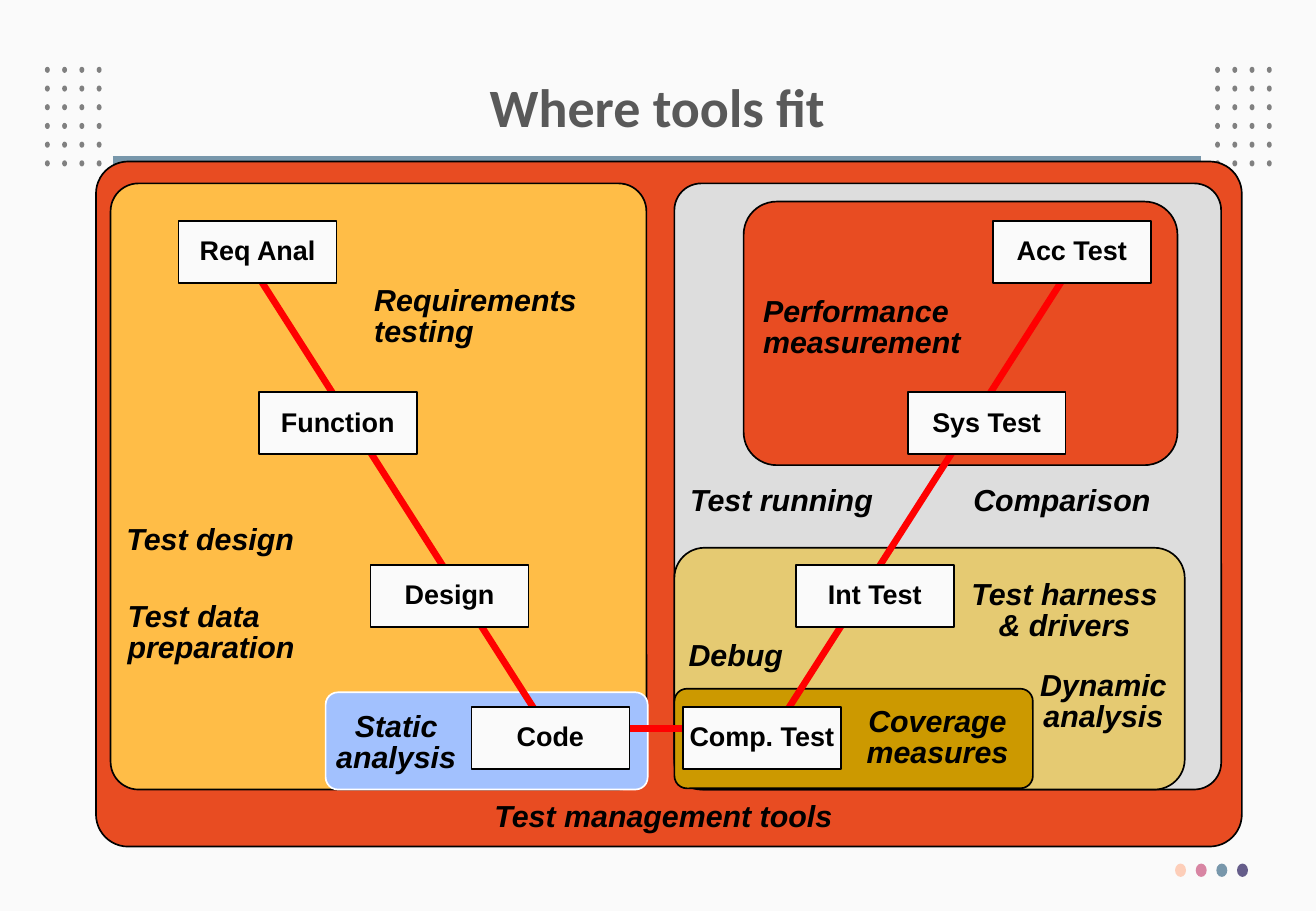
from lxml import etree
from pptx import Presentation
from pptx.dml.color import RGBColor
from pptx.enum.shapes import MSO_CONNECTOR, MSO_SHAPE
from pptx.enum.text import MSO_ANCHOR, MSO_AUTO_SIZE, PP_ALIGN
from pptx.oxml.ns import qn
from pptx.util import Inches, Pt

ELLIPSE, RECTANGLE, ROUNDED = MSO_SHAPE.OVAL, MSO_SHAPE.RECTANGLE, MSO_SHAPE.ROUNDED_RECTANGLE
STRAIGHT = MSO_CONNECTOR.STRAIGHT
LEFT, CENTER = PP_ALIGN.LEFT, PP_ALIGN.CENTER
MIDDLE = MSO_ANCHOR.MIDDLE
FIT_SHAPE = MSO_AUTO_SIZE.SHAPE_TO_FIT_TEXT
TITLE_ONLY = 5

COLORS = {
    "paper": "FAFAFA", "black": "000000", "white": "FFFFFF", "title": "595959",
    "dot": "808080", "peach": "FDCEB9", "pink": "D885A3", "teal": "7897AB",
    "purple": "655D8A", "orange": "E84C22", "amber": "FFBD47", "blue": "A2C1FE",
    "gray": "DDDDDD", "sand": "E5CA72", "ochre": "CC9900", "red": "FF0000",
}

REGIONS = [
    ((0.79, 1.33, 9.43, 5.64), 0.047, "orange", "black"),
    ((0.91, 1.51, 4.41, 4.99), 0.052, "amber", "black"),
    ((2.68, 5.7, 2.65, 0.8), 0.125, "blue", "white"),
    ((5.55, 1.51, 4.5, 4.99), 0.049, "gray", "black"),
    ((5.55, 4.51, 4.2, 1.99), 0.125, "sand", "black"),
    ((5.55, 5.67, 2.95, 0.82), 0.125, "ochre", "black"),
    ((6.12, 1.66, 3.57, 2.17), 0.125, "orange", "black"),
]

LABELS = [
    ("Requirements\ntesting", (3.01, 2.33, 1.96, 0.57), LEFT),
    ("Test design", (0.97, 4.3, 1.65, 0.31), LEFT),
    ("Test data\npreparation", (0.98, 4.93, 1.64, 0.57), LEFT),
    ("Static\nanalysis", (2.65, 5.84, 1.22, 0.57), CENTER),
    ("Test management tools", (3.87, 6.58, 3.18, 0.31), CENTER),
    ("Performance\nmeasurement", (6.21, 2.42, 1.91, 0.57), LEFT),
    ("Test running", (5.61, 3.98, 1.79, 0.31), LEFT),
    ("Comparison", (7.94, 3.98, 1.73, 0.31), LEFT),
    ("Test harness\n& drivers", (7.85, 4.75, 1.82, 0.57), CENTER),
    ("Debug", (5.56, 5.25, 0.99, 0.31), CENTER),
    ("Dynamic\nanalysis", (8.44, 5.5, 1.28, 0.57), CENTER),
    ("Coverage\nmeasures", (6.97, 5.8, 1.49, 0.57), CENTER),
]

STAGE_ROWS = [
    (1.82, ("Req Anal", 1.47), ("Acc Test", 8.17)),
    (3.23, ("Function", 2.13), ("Sys Test", 7.47)),
    (4.65, ("Design", 3.05), ("Int Test", 6.55)),
    (5.82, ("Code", 3.88), ("Comp. Test", 5.62)),
]

V_LINES = [
    ((2, 2.08), (4.5, 6)),
    ((4.67, 6), (6.33, 6)),
    ((8.83, 2.17), (6.33, 6.08)),
]


def color(name):
    """Return the named palette colour."""
    return RGBColor.from_string(COLORS[name])


def add_box(slide, kind, box, fill, line=None):
    """Add a flat preset shape with an optional thin outline."""
    shape = slide.shapes.add_shape(kind, *map(Inches, box))
    shape.shadow.inherit = False
    shape.fill.solid()
    shape.fill.fore_color.rgb = color(fill)
    if line:
        shape.line.color.rgb = color(line)
        shape.line.width = Pt(1)
    else:
        shape.line.fill.background()
    return shape


def add_line(slide, start, end, line, width):
    """Add a straight line without a shadow."""
    connector = slide.shapes.add_connector(STRAIGHT, *map(Inches, start + end))
    connector.line.color.rgb = color(line)
    connector.line.width = Pt(width)
    etree.SubElement(connector._element.spPr, qn("a:effectLst"))


def set_text(shape, text, size, alignment, spacing, ink="black", font="Arial", italic=False):
    """Write bold text into a shape and format every run."""
    text_frame = shape.text_frame
    text_frame.text = text
    for paragraph in text_frame.paragraphs:
        paragraph.alignment = alignment
        paragraph.line_spacing = spacing
        for run in paragraph.runs:
            run.font.name = font
            run.font.size = Pt(size)
            run.font.bold = True
            run.font.italic = italic
            run.font.color.rgb = color(ink)


def set_insets(text_frame):
    """Give a text frame narrow margins and no wrapping."""
    text_frame.word_wrap = False
    text_frame.margin_left = text_frame.margin_right = Inches(0.07)
    text_frame.margin_top = text_frame.margin_bottom = Inches(0.03)


def add_dot_grid(slide, left, top):
    """Add a grid of small dots, four wide and six high."""
    for row in range(6):
        for column in range(4):
            box = (left + column * 0.142, top + row * 0.154, 0.04, 0.05)
            add_box(slide, ELLIPSE, box, "dot")


def add_accent_dots(slide, left, top):
    """Add the row of coloured dots at the foot of the slide."""
    for index, fill in enumerate(("peach", "pink", "teal", "purple")):
        add_box(slide, ELLIPSE, (left + index * 0.17, top, 0.09, 0.11), fill)


def add_title(slide, box):
    """Place the title with its rule below."""
    title = slide.shapes.title
    title.left, title.top, title.width, title.height = map(Inches, box)
    title.text_frame.vertical_anchor = MIDDLE
    set_text(title, "Where tools fit", 32, CENTER, 0.98, "title", "Calibri")
    left, top, width, height = box
    rule = top + height - 0.06
    add_line(slide, (left + 0.19, rule), (left + width - 0.2, rule), "teal", 5.25)


def add_region(slide, box, corner, fill, line):
    """Add one rounded area of the tool map."""
    region = add_box(slide, ROUNDED, box, fill, line)
    region.adjustments[0] = corner


def add_label(slide, text, box, alignment):
    """Add the italic name of a tool type."""
    label = slide.shapes.add_textbox(*map(Inches, box))
    set_insets(label.text_frame)
    label.text_frame.auto_size = FIT_SHAPE
    set_text(label, text, 18, alignment, 0.85, italic=True)


def add_stage(slide, text, left, top):
    """Add one stage box of the V-model."""
    stage = add_box(slide, RECTANGLE, (left, top, 1.3, 0.51), "paper", "black")
    set_insets(stage.text_frame)
    stage.text_frame.vertical_anchor = MIDDLE
    set_text(stage, text, 16, CENTER, 0.9)


def build_slide(presentation):
    """Build the slide that maps tools onto the V-model."""
    slide = presentation.slides.add_slide(presentation.slide_layouts[TITLE_ONLY])
    slide.background.fill.solid()
    slide.background.fill.fore_color.rgb = color("paper")
    for left in (0.37, 10):
        add_dot_grid(slide, left, 0.55)
    add_accent_dots(slide, 9.67, 7.11)
    add_title(slide, (0.74, 0.4, 9.34, 0.98))
    for region in REGIONS:
        add_region(slide, *region)
    for start, end in V_LINES:
        add_line(slide, start, end, "red", 4)
    for top, *stages in STAGE_ROWS:
        for text, left in stages:
            add_stage(slide, text, left, top)
    for label in LABELS:
        add_label(slide, *label)


def main():
    """Create and save the presentation."""
    presentation = Presentation()
    presentation.slide_width = Inches(10.83)
    presentation.slide_height = Inches(7.5)
    build_slide(presentation)
    presentation.save("out.pptx")


if __name__ == "__main__":
    main()
